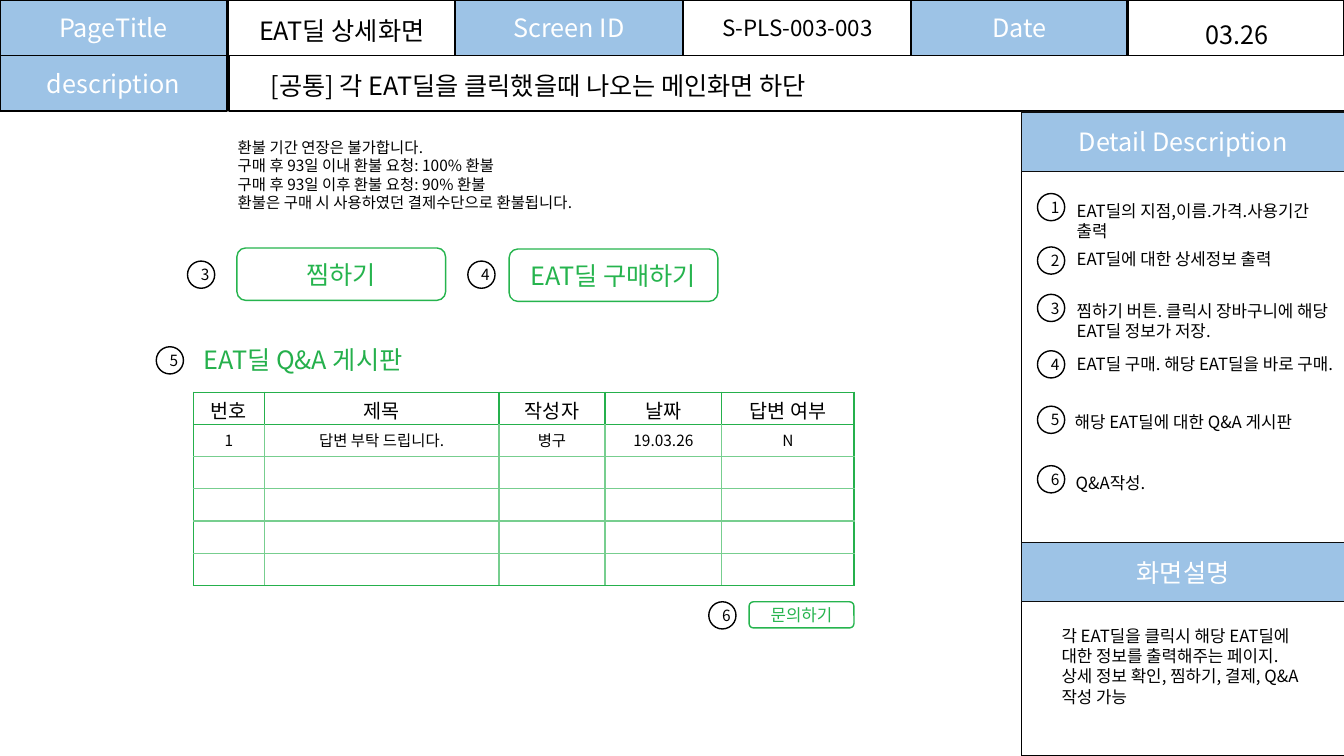
from lxml.etree import SubElement
from pptx import Presentation
from pptx.dml.color import RGBColor
from pptx.enum.shapes import MSO_SHAPE
from pptx.enum.text import MSO_ANCHOR, MSO_AUTO_SIZE, PP_ALIGN
from pptx.oxml.ns import qn
from pptx.util import Inches, Pt

WHITE = RGBColor(0xFF, 0xFF, 0xFF)
BLACK = RGBColor(0x00, 0x00, 0x00)
NEAR_BLACK = RGBColor(0x0D, 0x0D, 0x0D)
BLUE = RGBColor(0x9D, 0xC3, 0xE6)
BUTTON_GREEN = RGBColor(0x26, 0xB4, 0x4E)
GREEN = RGBColor(0x25, 0xB0, 0x4C)
LIGHT_GREEN = RGBColor(0x77, 0xCE, 0x8F)


class Wireframe:
    font = "Noto Sans CJK KR"

    def __init__(self, slide):
        self.slide = slide
        self.shapes = slide.shapes

    def set_text(self, frame, text, size, color, align):
        frame.text = text
        for paragraph in frame.paragraphs:
            paragraph.alignment = align
            for run in paragraph.runs:
                run.font.size = Pt(size)
                run.font.color.rgb = color
                run.font.name = self.font
                SubElement(run.font._element, qn("a:ea"), typeface=self.font)

    def box(self, kind, x, y, w, h, fill, line, text="", size=18, color=WHITE):
        shape = self.shapes.add_shape(kind, Inches(x), Inches(y), Inches(w), Inches(h))
        shape.shadow.inherit = False
        shape.fill.solid()
        shape.fill.fore_color.rgb = fill
        shape.line.color.rgb = line
        shape.line.width = Pt(1)
        if text:
            shape.text_frame.vertical_anchor = MSO_ANCHOR.MIDDLE
            self.set_text(shape.text_frame, text, size, color, PP_ALIGN.CENTER)
        return shape

    def panel(self, x, y, w, h, fill=WHITE, text="", line=BLACK):
        self.box(MSO_SHAPE.RECTANGLE, x, y, w, h, fill, line, text)

    def button(self, x, y, w, h, text, size=18):
        shape = self.box(MSO_SHAPE.ROUNDED_RECTANGLE, x, y, w, h, WHITE,
                         BUTTON_GREEN, text, size, BUTTON_GREEN)
        white = shape._element.spPr.find(qn("a:solidFill"))[0]
        SubElement(white, qn("a:alpha"), val="66000")

    def marker(self, x, y, number):
        self.box(MSO_SHAPE.OVAL, x, y, 0.27, 0.27, WHITE, BLACK, str(number), 11, BLACK)

    def fit(self, frame, wrap):
        frame.word_wrap = wrap
        frame.auto_size = MSO_AUTO_SIZE.SHAPE_TO_FIT_TEXT
        frame.vertical_anchor = MSO_ANCHOR.TOP

    def label(self, x, y, w, h, text, size=12, color=BLACK, align=PP_ALIGN.LEFT, wrap=True):
        area = self.shapes.add_textbox(Inches(x), Inches(y), Inches(w), Inches(h))
        self.fit(area.text_frame, wrap)
        self.set_text(area.text_frame, text, size, color, align)

    def heading(self, x, y, w, h, text):
        title = self.shapes.title
        title.left, title.top = Inches(x), Inches(y)
        title.width, title.height = Inches(w), Inches(h)
        self.fit(title.text_frame, False)
        self.set_text(title.text_frame, text, 18, BLACK, PP_ALIGN.CENTER)
        self.shapes._spTree.append(title._element)

    def border(self, cell, side, color):
        line = SubElement(cell._tc.get_or_add_tcPr(), qn(f"a:ln{side}"), w=str(Pt(1)))
        SubElement(SubElement(line, qn("a:solidFill")), qn("a:srgbClr"), val=str(color))

    def board(self, x, y, widths, row_height, rows):
        table = self.shapes.add_table(
            len(rows), len(widths), Inches(x), Inches(y),
            Inches(sum(widths)), Inches(row_height * len(rows))).table
        table.first_row = table.horz_banding = False
        for column, width in zip(table.columns, widths):
            column.width = Inches(width)
        for r, texts in enumerate(rows):
            table.rows[r].height = Inches(row_height)
            for c, text in enumerate(texts):
                cell = table.cell(r, c)
                cell.margin_left = cell.margin_right = Inches(0.08)
                cell.margin_top = cell.margin_bottom = Inches(0.04)
                self.set_text(cell.text_frame, text, 11 if r else 14, BLACK, PP_ALIGN.CENTER)
                if not text:
                    SubElement(cell.text_frame.paragraphs[0]._p, qn("a:endParaRPr"), sz="1100")
                strong = {"L": r == 0 or c == 0,
                          "R": r == 0 or c == len(widths) - 1,
                          "T": r <= 1,
                          "B": r in (0, len(rows) - 1)}
                for side, is_strong in strong.items():
                    self.border(cell, side, GREEN if is_strong else LIGHT_GREEN)
                cell.fill.background()


def main():
    deck = Presentation()
    deck.slide_width, deck.slide_height = Inches(13.33), Inches(7.5)
    page = Wireframe(deck.slides.add_slide(deck.slide_layouts[5]))

    for x, width, name in [(0, 2.25, "PageTitle"), (4.52, 2.25, "Screen ID"),
                           (9.04, 2.14, "Date")]:
        page.panel(x, 0, width, 0.55, BLUE, name)
        page.panel(x + width + 0.01, 0, width, 0.55)
    page.panel(0, 0.55, 2.25, 0.55, BLUE, "description")
    page.panel(2.27, 0.55, 11.07, 0.55)
    page.heading(2.39, 0.1, 2, 0.4, "EAT딜 상세화면")
    for x, y, w, h, text, size in [
            (6.84, 0.09, 2.14, 0.37, "S-PLS-003-003", 16),
            (11.8, 0.14, 0.93, 0.4, "03.26", 18),
            (2.35, 0.65, 5.98, 0.4, "[공통] 각 EAT딜을 클릭했을때 나오는 메인화면 하단", 18)]:
        page.label(x, y, w, h, text, size, align=PP_ALIGN.CENTER, wrap=False)

    page.panel(10.13, 1.11, 3.21, 6.39)
    for y, text in [(1.11, "Detail Description"), (5.38, "화면설명")]:
        page.panel(10.13, y, 3.21, 0.59, BLUE, text, NEAR_BLACK)

    page.label(2.26, 1.32, 5.57, 1.14,
               "환불 기간 연장은 불가합니다.\n"
               "구매 후 93일 이내 환불 요청: 100% 환불\n"
               "구매 후 93일 이후 환불 요청: 90% 환불\n"
               "환불은 구매 시 사용하였던 결제수단으로 환불됩니다.", 11)
    page.button(2.35, 2.46, 2.07, 0.52, "찜하기")
    page.button(5.05, 2.47, 2.07, 0.52, "EAT딜 구매하기")
    page.label(1.92, 3.37, 2.45, 0.4, "EAT딜 Q&A 게시판", 18, GREEN)
    page.button(7.43, 5.97, 1.04, 0.26, "문의하기", 12)
    page.board(1.92, 3.89, [0.7, 2.33, 1.05, 1.16, 1.31], 0.32, [
        ["번호", "제목", "작성자", "날짜", "답변 여부"],
        ["1", "답변 부탁 드립니다.", "병구", "19.03.26", "N"],
        *[[""] * 5 for _ in range(4)]])
    for x, y, number in [(1.86, 2.59, 3), (4.64, 2.59, 4), (1.55, 3.44, 5), (7.03, 5.97, 6)]:
        page.marker(x, y, number)

    details = [
        (1.92, 10.58, 1.94, 0.71, "EAT딜의 지점,이름.가격.사용기간 출력"),
        (2.45, 10.58, 2.42, 0.3, "EAT딜에 대한 상세정보 출력"),
        (2.92, 10.58, 2.93, 0.5, "찜하기 버튼. 클릭시 장바구니에 해당 EAT딜 정보가 저장."),
        (3.48, 10.58, 3.46, 0.5, "EAT딜 구매. 해당 EAT딜을 바로 구매."),
        (4.03, 10.56, 4.04, 0.3, "해당 EAT딜에 대한 Q&A 게시판"),
        (4.62, 10.57, 4.64, 0.3, "Q&A작성."),
    ]
    for number, (marker_y, x, y, height, text) in enumerate(details, 1):
        page.marker(10.29, marker_y, number)
        page.label(x, y, 2.71, height, text)
    page.label(10.43, 6.16, 2.72, 0.91,
               "각 EAT딜을 클릭시 해당 EAT딜에 대한 정보를 출력해주는 페이지.\n"
               "상세 정보 확인, 찜하기, 결제, Q&A작성 가능")

    deck.save("out.pptx")


if __name__ == "__main__":
    main()
